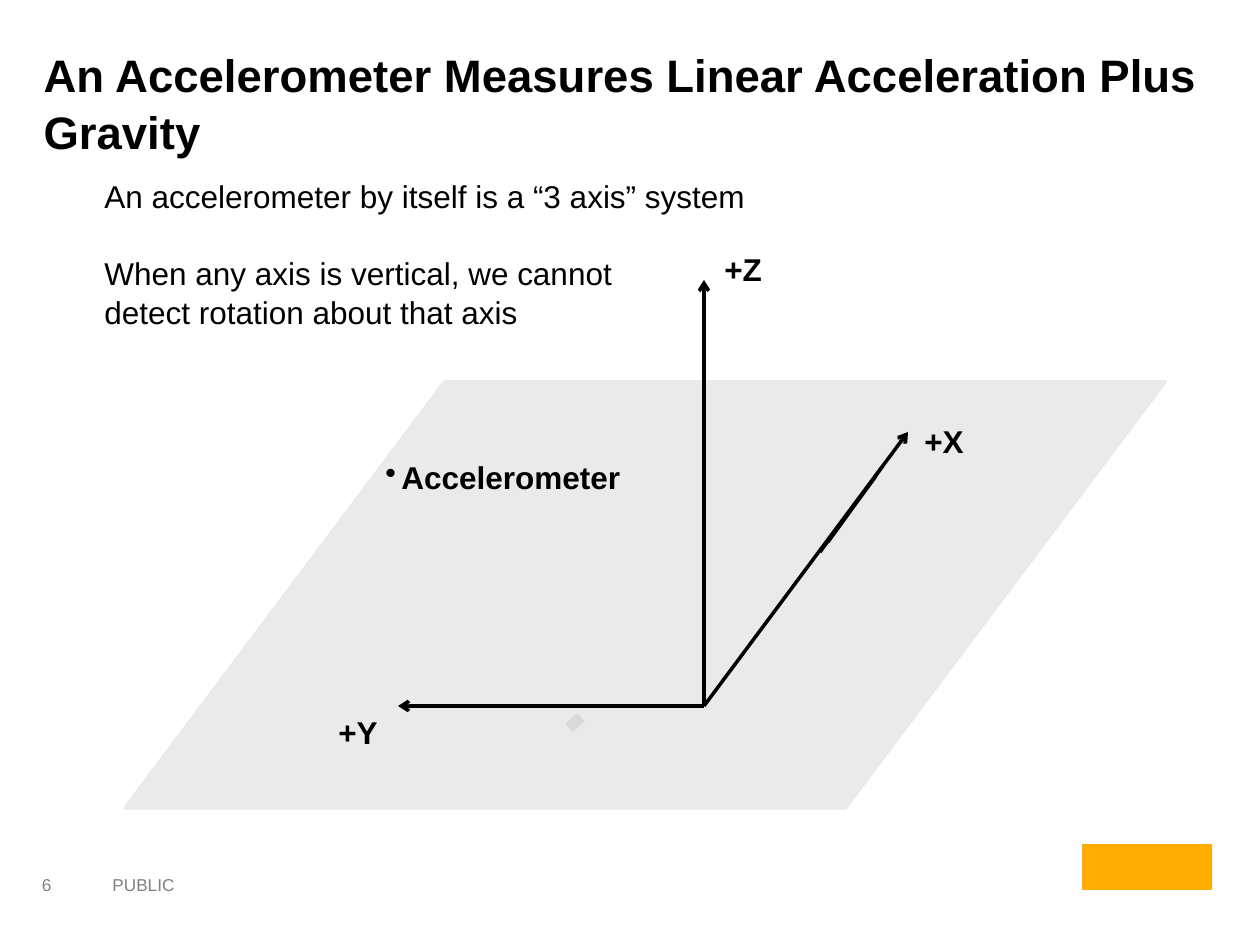
"""Build the slide on what a three-axis accelerometer measures."""
from lxml.etree import SubElement
from pptx import Presentation
from pptx.dml.color import RGBColor
from pptx.enum.shapes import MSO_CONNECTOR, MSO_SHAPE
from pptx.enum.text import MSO_ANCHOR, PP_ALIGN
from pptx.oxml.ns import qn
from pptx.util import Emu, Pt

SCALE = 914400 / 126
BLACK = RGBColor(0x00, 0x00, 0x00)
GREY = RGBColor(0x80, 0x80, 0x80)
PLANE = RGBColor(0xEA, 0xEA, 0xEA)
MARK = RGBColor(0xD9, 0xD9, 0xD9)
ORANGE = RGBColor(0xFF, 0xAD, 0x00)

TITLE = {"name": "Arial", "size": Pt(26), "bold": True}
BODY = {"name": "Arial", "size": Pt(18), "bold": False}
LABEL = {"name": "Arial", "size": Pt(18), "bold": True}
FOOTER = {"name": "Arial", "size": Pt(9.8), "bold": False}


def px(*lengths):
    return [Emu(round(length * SCALE)) for length in lengths]


def write(para, text, style, color=BLACK):
    span = para.add_run()
    span.text = text
    for name, value in style.items():
        setattr(span.font, name, value)
    span.font.color.rgb = color


deck = Presentation()
deck.slide_width, deck.slide_height = px(1260, 945)
page = deck.slides.add_slide(deck.slide_layouts[5])

title = page.shapes.title
title.left, title.top, title.width, title.height = px(31, 39, 1206, 91)
title.text_frame.vertical_anchor = MSO_ANCHOR.TOP
para = title.text_frame.paragraphs[0]
para.alignment = PP_ALIGN.LEFT
para.line_spacing = 1.04
write(para, "An Accelerometer Measures Linear Acceleration Plus Gravity", TITLE)

for preset, place, rotation, color in [
    (MSO_SHAPE.PARALLELOGRAM, (125, 382, 1040, 426), 0, PLANE),
    (MSO_SHAPE.RECTANGLE, (567, 717, 16, 11), 319, MARK),
    (MSO_SHAPE.RECTANGLE, (1082, 844, 130, 46), 0, ORANGE),
]:
    shape = page.shapes.add_shape(preset, *px(*place))
    shape.shadow.inherit = False
    shape.rotation = rotation
    shape.fill.solid()
    shape.fill.fore_color.rgb = color
    if preset == MSO_SHAPE.PARALLELOGRAM:
        shape.adjustments[0] = 0.75
        shape.line.color.rgb = color
        shape.line.width = Pt(2)
    else:
        shape.line.fill.background()

origin = (704, 706)
axes = [(*origin, 398, 706), (*origin, 704, 280), (*origin, 908, 432)]
segments = [
    (500, 706, 568, 706), (534, 706, 602, 706), (563, 706, 638, 706),
    (704, 330, 704, 426), (704, 358, 704, 403),
    (876, 476, 820, 552), (828, 542, 882, 467),
]
for ends in axes + segments:
    line = page.shapes.add_connector(MSO_CONNECTOR.STRAIGHT, *px(*ends))
    line.line.color.rgb = BLACK
    line.line.width = Pt(2)
    if ends in axes:
        SubElement(line.line._get_or_add_ln(), qn("a:tailEnd"), type="arrow")
    SubElement(line._element.spPr, qn("a:effectLst"))

for text, place, style, color in [
    ("+Y", (326, 707, 66, 50), LABEL, BLACK),
    ("+X", (912, 416, 66, 50), LABEL, BLACK),
    ("+Z", (712, 244, 63, 50), LABEL, BLACK),
    ("Accelerometer", (373, 452, 262, 50), LABEL, BLACK),
    ("6", (34, 866, 62, 38), FOOTER, GREY),
    ("PUBLIC", (100, 868, 484, 43), FOOTER, GREY),
]:
    box = page.shapes.add_textbox(*px(*place))
    frame = box.text_frame
    frame.word_wrap = style is FOOTER
    para = frame.paragraphs[0]
    if text == "Accelerometer":
        indent = px(16)[0]
        properties = para._p.get_or_add_pPr()
        properties.set("marL", str(indent))
        properties.set("indent", str(-indent))
        SubElement(properties, qn("a:buChar"), char="•")
    if text == "6":
        frame.vertical_anchor = MSO_ANCHOR.MIDDLE
        frame.margin_left, frame.margin_right = px(8, 8)
        frame.margin_top, frame.margin_bottom = px(4, 4)
    write(para, text, style, color)

box = page.shapes.add_textbox(*px(92, 169, 672, 165))
frame = box.text_frame
for number, text in enumerate([
    "An accelerometer by itself is a “3 axis” system",
    "When any axis is vertical, we cannot",
    "detect rotation about that axis",
]):
    para = frame.add_paragraph() if number else frame.paragraphs[0]
    para.line_spacing = 1.04
    if number == 1:
        para.space_before = Pt(21.5)
    write(para, text, BODY)
frame.word_wrap = False

deck.save("out.pptx")
